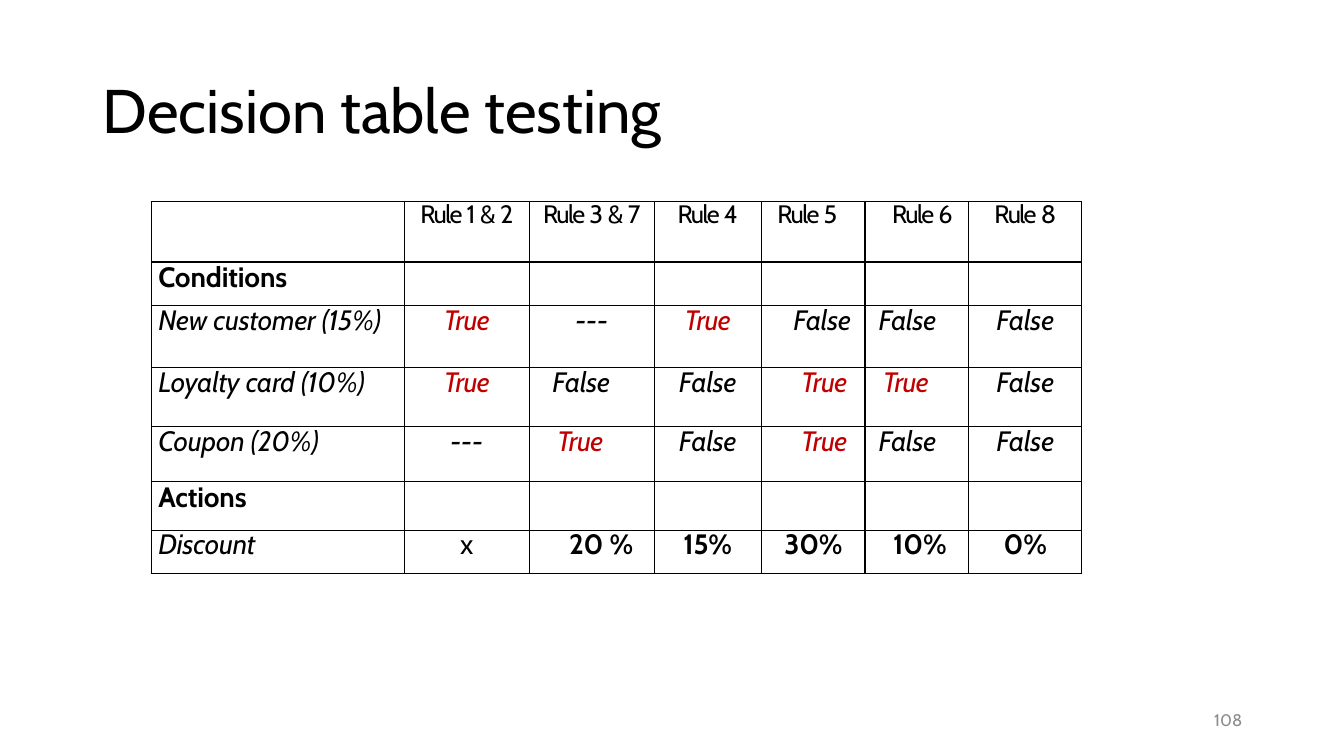
from pptx import Presentation
from pptx.dml.color import RGBColor
from pptx.enum.text import MSO_ANCHOR, PP_ALIGN
from pptx.oxml import parse_xml
from pptx.oxml.ns import nsdecls
from pptx.util import Inches, Pt

BLACK, RED, GREY = "000000", "C00000", "8C8C8C"
LEFT, CENTER, RIGHT = PP_ALIGN.LEFT, PP_ALIGN.CENTER, PP_ALIGN.RIGHT


def add_run(paragraph, text, size, color, spacing=0, bold=False, italic=False):
    """Add one run; spacing is the letter spacing in points."""
    run = paragraph.add_run()
    run.text = text
    font = run.font
    font.name, font.size = "Cabin", Pt(size)
    font.bold, font.italic = bold, italic
    font.color.rgb = RGBColor.from_string(color)
    if spacing:
        run._r.get_or_add_rPr().set("spc", str(round(spacing * 100)))


presentation = Presentation()
presentation.slide_width, presentation.slide_height = Inches(13.33), Inches(7.5)
slide = presentation.slides.add_slide(presentation.slide_layouts[6])

# Title and slide number
for text, box, size, color, alignment in [
    ("Decision table testing", (0.92, 0.4, 11.5, 1.45), 44, BLACK, LEFT),
    ("108", (9.42, 6.95, 3, 0.4), 12, GREY, RIGHT),
]:
    frame = slide.shapes.add_textbox(*map(Inches, box)).text_frame
    frame.word_wrap = True
    frame.vertical_anchor = MSO_ANCHOR.MIDDLE
    paragraph = frame.paragraphs[0]
    paragraph.alignment = alignment
    paragraph.line_spacing = 0.9
    add_run(paragraph, text, size, color)

# Decision table
column_widths = [2.51, 1.24, 1.24, 1.06, 1.03, 1.03, 1.12]
row_heights = [0.6, 0.43, 0.62, 0.58, 0.55, 0.48, 0.43]
rows = [
    ["", "Rule 1 & 2", "Rule 3 & 7", "Rule 4", "Rule 5", "Rule 6", "Rule 8"],
    ["Conditions"] + [""] * 6,
    ["New customer (15%)", "True", "---", "True", "False", "False", "False"],
    ["Loyalty card (10%)", "True", "False", "False", "True", "True", "False"],
    ["Coupon (20%)", "---", "True", "False", "True", "False", "False"],
    ["Actions"] + [""] * 6,
    ["Discount", "x", "20 %", "15%", "30%", "10%", "0%"],
]
headings = ("Conditions", "Actions")

# Cells that are not plainly centred: alignment, left and right indent
placements = {
    (0, 4): (LEFT, 0.16, 0), (0, 5): (RIGHT, 0, 0.16),
    (2, 4): (CENTER, 0.18, 0), (2, 5): (CENTER, 0, 0.19),
    (3, 2): (CENTER, 0, 0.21), (3, 4): (CENTER, 0.22, 0), (3, 5): (CENTER, 0, 0.22),
    (4, 2): (CENTER, 0, 0.23), (4, 4): (CENTER, 0.22, 0), (4, 5): (CENTER, 0, 0.19),
    (6, 2): (RIGHT, 0, 0.21), (6, 4): (LEFT, 0.23, 0), (6, 5): (RIGHT, 0, 0.22),
}

table_frame = slide.shapes.add_table(
    len(rows), len(column_widths), Inches(1.5), Inches(2),
    Inches(sum(column_widths)), Inches(sum(row_heights)))
table = table_frame.table
table.first_row = table.horz_banding = False
for column, width in zip(table.columns, column_widths):
    column.width = Inches(width)
for row, height in zip(table.rows, row_heights):
    row.height = Inches(height)

for row_index, texts in enumerate(rows):
    for column_index, text in enumerate(texts):
        cell = table.cell(row_index, column_index)
        cell.margin_left = cell.margin_right = cell.margin_top = cell.margin_bottom = 0
        cell.fill.background()
        properties = cell._tc.get_or_add_tcPr()
        for position, side in enumerate(("lnL", "lnR", "lnT", "lnB")):
            properties.insert(position, parse_xml(
                f'<a:{side} {nsdecls("a")} w="{Pt(1)}"><a:solidFill>'
                f'<a:srgbClr val="{BLACK}"/></a:solidFill></a:{side}>'))
        if not text:
            continue

        paragraph = cell.text_frame.paragraphs[0]
        default = (LEFT, 0.07, 0) if column_index == 0 else (CENTER, 0, 0)
        alignment, indent_left, indent_right = placements.get((row_index, column_index), default)
        paragraph.alignment = alignment
        paragraph_properties = paragraph._p.get_or_add_pPr()
        paragraph_properties.set("marL", str(Inches(indent_left)))
        paragraph_properties.set("marR", str(Inches(indent_right)))

        if row_index == 0:
            paragraph.line_spacing = Pt(20.4)
            add_run(paragraph, "Rule ", 18, BLACK, -1.1)
            add_run(paragraph, text.removeprefix("Rule "), 18, BLACK, -0.4)
        else:
            paragraph.line_spacing = Pt(23.4 if text in headings else 22.8)
            is_true = text == "True"
            is_discount = row_index == 6 and column_index > 0
            bold = text in headings or (is_discount and text != "x")
            add_run(paragraph, text, 20, RED if is_true else BLACK,
                    -0.4 if is_true else -0.1, bold, not bold and not is_discount)

presentation.save("out.pptx")
